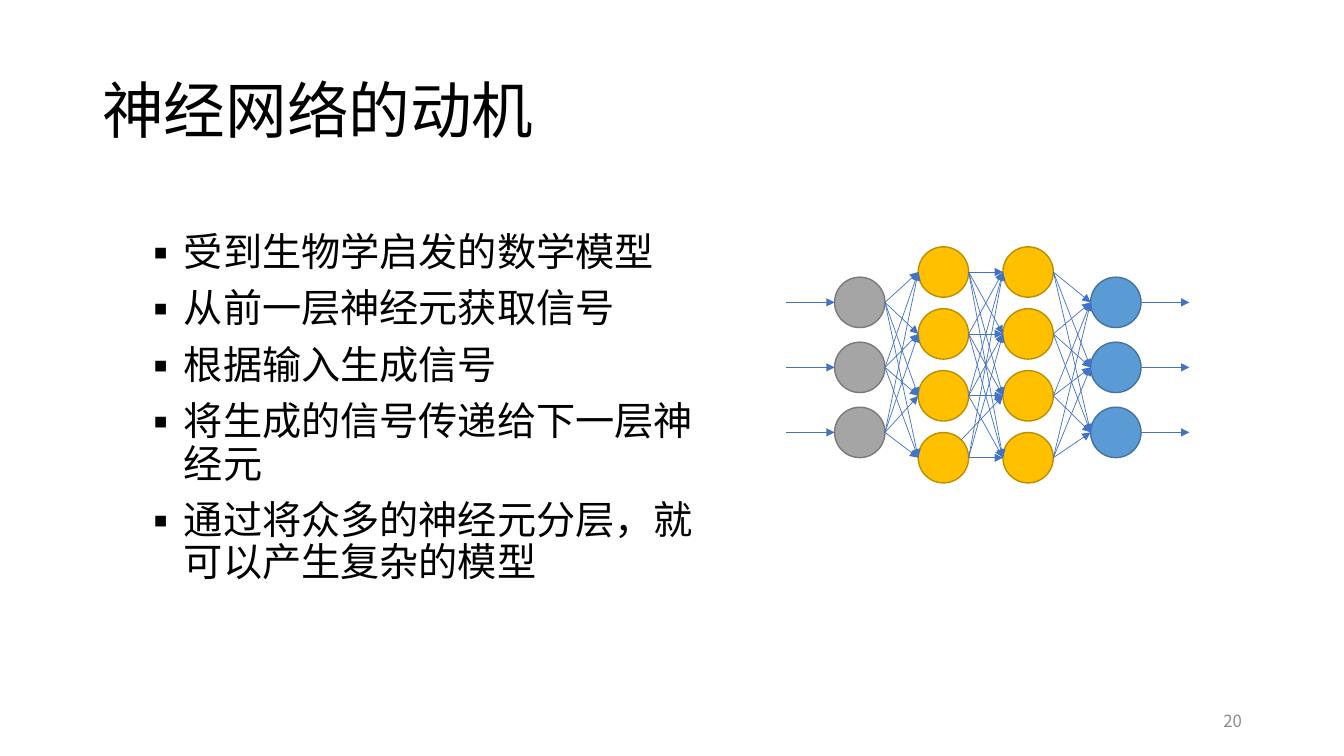
from dataclasses import dataclass
from itertools import pairwise, product
from math import sqrt

from lxml import etree
from pptx import Presentation
from pptx import util as u
from pptx.dml.color import RGBColor
from pptx.enum import shapes, text
from pptx.oxml.ns import qn


@dataclass(frozen=True)
class Theme:
    font: str = "Noto Sans CJK SC"
    ink: str = "000000"
    muted: str = "8C8C8C"
    link: str = "4472C4"
    title_pt: float = 44
    body_pt: float = 28
    number_pt: float = 12
    link_pt: float = 0.5
    outline_pt: float = 1


@dataclass(frozen=True)
class Layer:
    left: float    # columns
    middle: float  # rows, centre of the stack
    pitch: float   # rows between neighbouring neurons
    count: int
    fill: str
    outline: str

    @property
    def right(self) -> float:
        return self.left + NEURON

    def rows(self) -> list[float]:
        return [self.middle + (i - (self.count - 1) / 2) * self.pitch
                for i in range(self.count)]


THEME = Theme()
# Grid of 160 x 90 square cells, 12 to the inch
CELL = u.Inches(1) // 12
NEURON = 6
SIGNAL = 5.76  # length of the arrows entering and leaving the network

LAYERS = [
    Layer(99.36, 43.74, 7.74, 3, "A5A5A5", "7A7A7A"),
    Layer(109.32, 43.44, 7.37, 4, "FFC000", "BD8E00"),
    Layer(119.4, 43.44, 7.37, 4, "FFC000", "BD8E00"),
    Layer(129.84, 43.74, 7.74, 3, "5B9BD5", "43739E"),
]

POINTS = [
    "受到生物学启发的数学模型",
    "从前一层神经元获取信号",
    "根据输入生成信号",
    "将生成的信号传递给下一层神经元",
    "通过将众多的神经元分层，就可以产生复杂的模型",
]


def cells(n: float) -> u.Emu:
    return u.Emu(round(n * CELL))


def add_text(s, lines: list[str], box: tuple, *, size: float, color: str = THEME.ink,
             anchor=text.MSO_ANCHOR.MIDDLE, align=text.PP_ALIGN.LEFT,
             line_spacing: float = 1, before: float = 0, bullet: str = "",
             indent: float = 0) -> None:
    tf = s.shapes.add_textbox(*map(cells, box)).text_frame
    tf.word_wrap = True
    tf.vertical_anchor = anchor
    for i, line in enumerate(lines):
        p = tf.paragraphs[0] if i == 0 else tf.add_paragraph()
        p.alignment = align
        p.line_spacing = line_spacing
        p.space_before = u.Pt(before)
        if bullet:
            props = p._p.get_or_add_pPr()
            props.set("marL", str(cells(indent)))
            props.set("indent", str(-cells(indent)))
            etree.SubElement(props, qn("a:buFont"), typeface=THEME.font)
            etree.SubElement(props, qn("a:buChar"), char=bullet)
        r = p.add_run()
        r.text = line
        r.font.name = THEME.font
        r.font.size = u.Pt(size)
        r.font.color.rgb = RGBColor.from_string(color)
        etree.SubElement(r._r.get_or_add_rPr(), qn("a:ea"), typeface=THEME.font)


def add_neuron(group, layer: Layer, row: float) -> None:
    sp = group.shapes.add_shape(
        shapes.MSO_SHAPE.OVAL, cells(layer.left), cells(row - NEURON / 2),
        cells(NEURON), cells(NEURON))
    sp.shadow.inherit = False
    sp.fill.solid()
    sp.fill.fore_color.rgb = RGBColor.from_string(layer.fill)
    sp.line.color.rgb = RGBColor.from_string(layer.outline)
    sp.line.width = u.Pt(THEME.outline_pt)


def add_arrow(group, x1: float, y1: float, x2: float, y2: float) -> None:
    c = group.shapes.add_connector(
        shapes.MSO_CONNECTOR.STRAIGHT, *map(cells, (x1, y1, x2, y2)))
    c.line.color.rgb = RGBColor.from_string(THEME.link)
    c.line.width = u.Pt(THEME.link_pt)
    etree.SubElement(c.line._get_or_add_ln(), qn("a:tailEnd"), type="triangle")
    etree.SubElement(c._element.spPr, qn("a:effectLst"))


def add_network(s) -> None:
    group = s.shapes.add_group_shape()
    first, last = LAYERS[0], LAYERS[-1]

    # Output signals
    for y in last.rows():
        add_arrow(group, last.right, y, last.right + SIGNAL, y)

    # Neurons
    for layer in LAYERS:
        for y in layer.rows():
            add_neuron(group, layer, y)

    # Links between neighbouring layers
    diagonal = NEURON / 2 / sqrt(2)
    for n, (a, b) in enumerate(pairwise(LAYERS)):
        for (i, y1), (j, y2) in product(enumerate(a.rows()), enumerate(b.rows())):
            x1 = a.right
            if (n, i, j) == (1, 3, 2):  # this link leaves from the upper right
                x1, y1 = x1 - NEURON / 2 + diagonal, y1 - diagonal
            add_arrow(group, x1, y1, b.left, y2)

    # Input signals
    for y in first.rows():
        add_arrow(group, first.left - SIGNAL, y, first.left, y)


def main() -> None:
    prs = Presentation()
    prs.slide_width, prs.slide_height = cells(160), cells(90)
    s = prs.slides.add_slide(prs.slide_layouts[6])

    # Page number, title and bullet points
    add_text(s, ["20"], (113.04, 83.4, 36, 4.8), size=THEME.number_pt,
             color=THEME.muted, align=text.PP_ALIGN.RIGHT)
    add_text(s, ["神经网络的动机"], (11, 4.8, 138, 17.4), size=THEME.title_pt,
             line_spacing=0.9)
    add_text(s, POINTS, (15.72, 27.12, 69.84, 60.84), size=THEME.body_pt,
             anchor=text.MSO_ANCHOR.TOP, line_spacing=0.9, before=10,
             bullet="▪", indent=5)

    # Network diagram
    add_network(s)
    prs.save("out.pptx")


if __name__ == "__main__":
    main()
